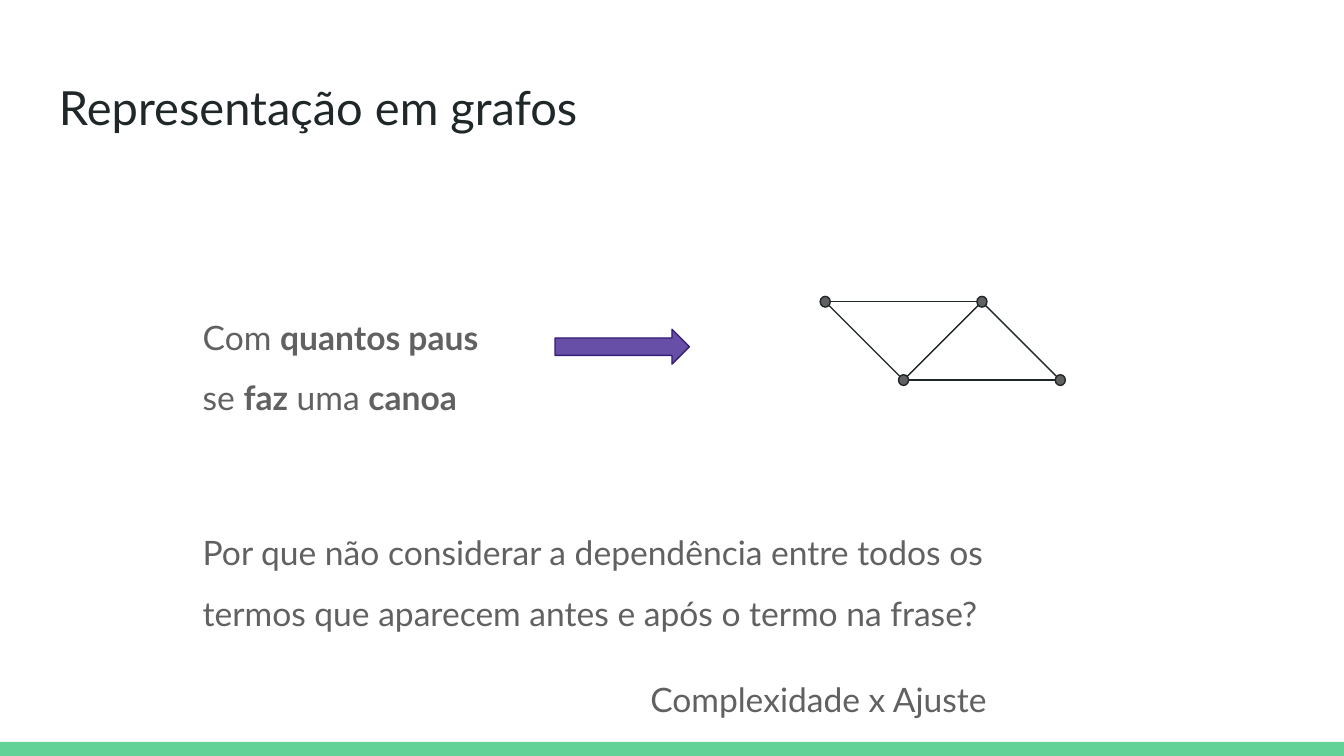
import math

import pptx
import pptx.dml.color
import pptx.enum.shapes
import pptx.enum.text
import pptx.oxml.ns
import pptx.util
from lxml import etree

SHAPES = pptx.enum.shapes.MSO_SHAPE
ALIGN = pptx.enum.text.PP_ALIGN
COLUMNS, ROWS = 100, 56.25


def color(value):
    return pptx.dml.color.RGBColor.from_string(value)


def write_text(box, spans, size=18, fill="616161", align=ALIGN.LEFT, leading=1.5, after=12):
    frame = box.text_frame
    frame.word_wrap = True
    frame.vertical_anchor = pptx.enum.text.MSO_ANCHOR.TOP
    for side in ("left", "right", "top", "bottom"):
        setattr(frame, f"margin_{side}", pptx.util.Inches(0.1))
    para = frame.paragraphs[0]
    para.alignment = align
    para.line_spacing = leading
    para.space_after = pptx.util.Pt(after)
    for text, bold in spans:
        span = para.add_run()
        span.text = text
        span.font.name = "Lato"
        span.font.size = pptx.util.Pt(size)
        span.font.bold = bold
        span.font.color.rgb = color(fill)


class SlideBuilder:
    ink = "202729"
    gray = "616161"
    stroke = 0.75

    def __init__(self, deck):
        self.page = deck.slides.add_slide(deck.slide_layouts[6])
        self.column = deck.slide_width / COLUMNS
        self.row = deck.slide_height / ROWS

    def place(self, column, row):
        return round(column * self.column), round(row * self.row)

    def text(self, left, top, width, height, spans, **style):
        box = self.page.shapes.add_textbox(*self.place(left, top), *self.place(width, height))
        write_text(box, spans, **style)

    def shape(self, kind, left, top, width, height, fill, line=None):
        item = self.page.shapes.add_shape(kind, *self.place(left, top), *self.place(width, height))
        item.shadow.inherit = False
        item.fill.solid()
        item.fill.fore_color.rgb = color(fill)
        if line:
            item.line.color.rgb = color(line)
            item.line.width = pptx.util.Pt(self.stroke)
        else:
            item.line.fill.background()

    def node(self, center, width=0.75, height=0.8):
        left, top = center[0] - width / 2, center[1] - height / 2
        self.shape(SHAPES.OVAL, left, top, width, height, self.gray, self.ink)

    def edge(self, start, end, radius=0.4):
        across, down = end[0] - start[0], end[1] - start[1]
        length = math.hypot(across, down)
        trim_x, trim_y = across * radius / length, down * radius / length
        line = self.page.shapes.add_connector(
            pptx.enum.shapes.MSO_CONNECTOR.STRAIGHT,
            *self.place(start[0] + trim_x, start[1] + trim_y),
            *self.place(end[0] - trim_x, end[1] - trim_y),
        )
        line.line.color.rgb = color(self.ink)
        line.line.width = pptx.util.Pt(self.stroke)
        etree.SubElement(line._element.spPr, pptx.oxml.ns.qn("a:effectLst"))


def main():
    deck = pptx.Presentation()
    deck.slide_width = pptx.util.Inches(10)
    deck.slide_height = deck.slide_width * 9 // 16
    slide = SlideBuilder(deck)

    slide.shape(SHAPES.RECTANGLE, 0, 55.2, COLUMNS, 1.05, "63D297")
    slide.text(3.4, 4.85, 93.2, 6.3, [("Representação em grafos", False)],
               size=25.2, fill=slide.ink, leading=1, after=0)
    slide.text(14.1, 21.05, 24.5, 9.5, [
        ("Com ", False), ("quantos paus", True), (" se ", False),
        ("faz", True), (" uma ", False), ("canoa", True),
    ])
    slide.shape(SHAPES.RIGHT_ARROW, 41.3, 24.5, 10, 2.6, "674EA7", "351C75")

    step = 5.83
    nodes = [(61.4 + step * index, 22.45 + step * (index % 2)) for index in range(4)]
    for start, end in [(0, 1), (0, 2), (1, 2), (1, 3), (2, 3)]:
        slide.edge(nodes[start], nodes[end])
    for center in nodes:
        slide.node(center)

    slide.text(14.1, 37.1, 63.5, 10.3, [(
        "Por que não considerar a dependência entre todos os termos "
        "que aparecem antes e após o termo na frase?", False)])
    slide.text(27, 48.05, 47.4, 5, [("Complexidade x Ajuste", False)], align=ALIGN.RIGHT)
    deck.save("out.pptx")


if __name__ == "__main__":
    main()
